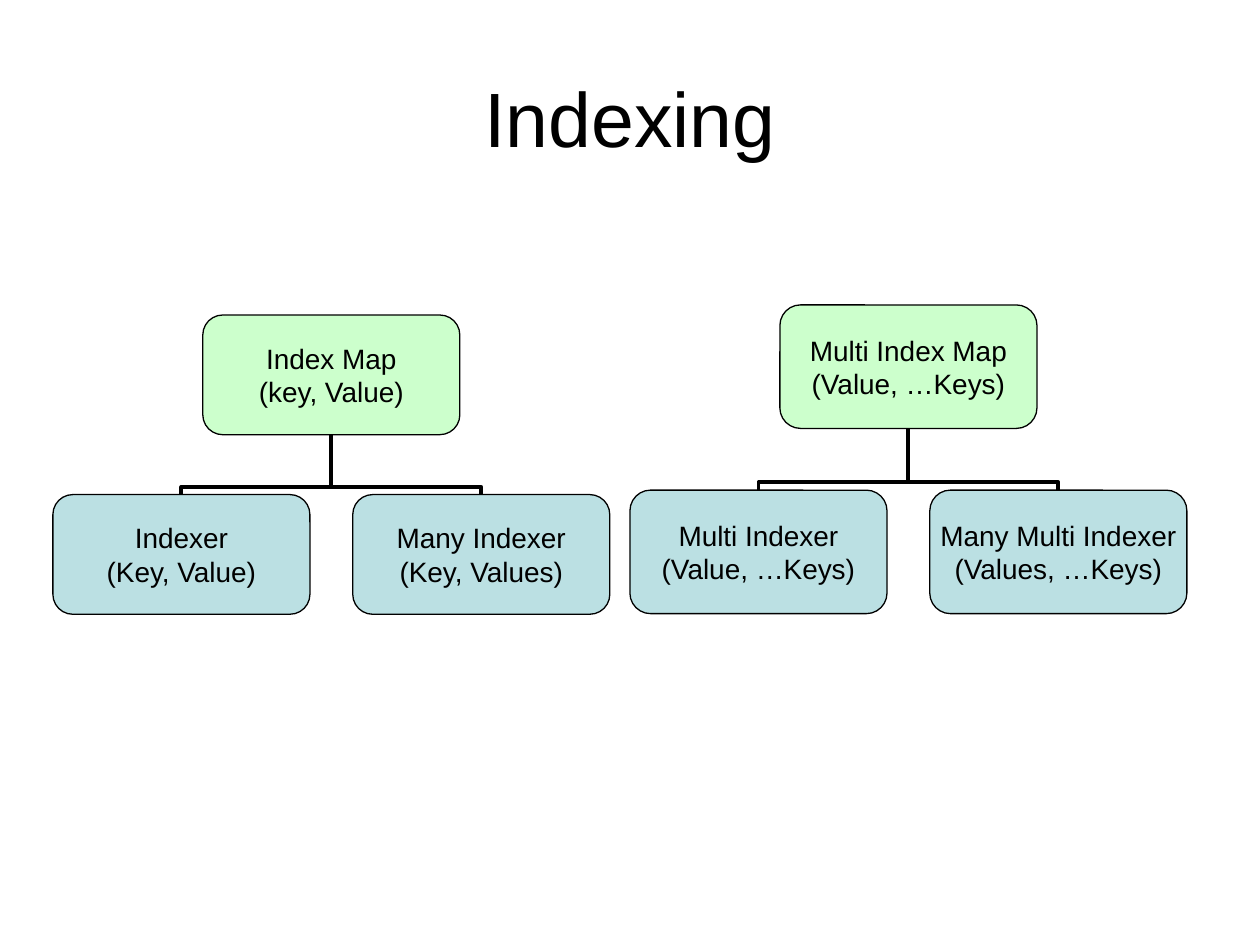
from lxml.etree import SubElement as Sub
from pptx import Presentation
from pptx.dml.color import RGBColor
from pptx.enum.shapes import MSO_CONNECTOR as Link, MSO_SHAPE as Kind
from pptx.enum.text import MSO_ANCHOR as Anchor, PP_ALIGN as Align
from pptx.oxml.ns import qn
from pptx.util import Inches, Pt


def tint(code):
    """Turn a hex string into a colour."""
    return RGBColor.from_string(code)


def apply(item, form):
    """Set each attribute named in a dict of format values."""
    for name, value in form.items():
        setattr(item, name, value)


class Deck:
    """Hold the style and the current slide."""

    ink, root, leaf = "000000", "CCFFCC", "BBE0E3"
    wide, step = 2.04, 2.38
    frame = dict(margin_left=0, margin_right=0, margin_top=0,
                 margin_bottom=0, word_wrap=False,
                 vertical_anchor=Anchor.MIDDLE)

    def __init__(self, show):
        """Add a title-only slide."""
        self.slide = show.slides.add_slide(show.slide_layouts[5])

    def label(self, body, text, size):
        """Fill a text frame with centred lines."""
        body.text = text
        for para in body.paragraphs:
            para.alignment = Align.CENTER
            for run in para.runs:
                apply(run.font, dict(name="Arial", size=Pt(size)))
                run.font.color.rgb = tint(self.ink)

    def title(self, text):
        """Place and format the title."""
        head = self.slide.shapes.title
        apply(head, dict(left=Inches(0.5), top=Inches(0.3),
                         width=Inches(9), height=Inches(1.25)))
        head.text_frame.vertical_anchor = Anchor.MIDDLE
        self.label(head.text_frame, text, 44)

    def stroke(self, line, width):
        """Format an outline or a connector line."""
        line.color.rgb = tint(self.ink)
        line.width = Pt(width)

    def box(self, group, text, left, top, high, fill):
        """Add a rounded box with text."""
        box = group.shapes.add_shape(
            Kind.ROUNDED_RECTANGLE, Inches(left), Inches(top),
            Inches(self.wide), Inches(high))
        box.shadow.inherit = False
        box.fill.solid()
        box.fill.fore_color.rgb = tint(fill)
        self.stroke(box.line, 0.75)
        apply(box.text_frame, self.frame)
        self.label(box.text_frame, text, 16)
        return box

    def join(self, group, child, parent, turn, flip):
        """Join a child's top to its parent's bottom with an elbow."""
        link = group.shapes.add_connector(Link.ELBOW, child.left, child.top,
                                          parent.left, parent.top)
        link.begin_connect(child, 0)
        link.end_connect(parent, 2)
        long, tall = link.width, link.height
        apply(link, dict(left=link.left + (long - tall) // 2,
                         top=link.top + (tall - long) // 2,
                         width=tall, height=long))
        self.stroke(link.line, 2.25)
        props = link.element.spPr
        xfrm = props.find(qn("a:xfrm"))
        for name, value in dict(rot=turn * 60000, flipH=flip, flipV=1).items():
            xfrm.set(name, str(value))
        Sub(props.find(".//" + qn("a:avLst")), qn("a:gd"),
            name="adj1", fmla="val 12600")
        Sub(props, qn("a:effectLst"))
        child.element.getparent().insert(2, link.element)

    def tree(self, left, top, high, head, leaves):
        """Add a parent box above two joined children."""
        group = self.slide.shapes.add_group_shape()
        parent = self.box(group, head, left + self.step / 2, top, high,
                          self.root)
        for i, text in enumerate(leaves):
            child = self.box(group, text, left + i * self.step,
                             top + 1.5 * high, high, self.leaf)
            self.join(group, child, parent, (90, 270)[i], 1 - i)


def main():
    """Build and save the slide."""
    show = Presentation()
    apply(show, dict(slide_width=Inches(10), slide_height=Inches(7.5)))
    deck = Deck(show)
    deck.title("Indexing")
    deck.tree(0.42, 2.5, 0.95, "Index Map\n(key, Value)",
              ["Indexer\n(Key, Value)", "Many Indexer\n(Key, Values)"])
    deck.tree(5, 2.42, 0.98, "Multi Index Map\n(Value, …Keys)",
              ["Multi Indexer\n(Value, …Keys)",
               "Many Multi Indexer\n(Values, …Keys)"])
    show.save("out.pptx")


if __name__ == "__main__":
    main()
